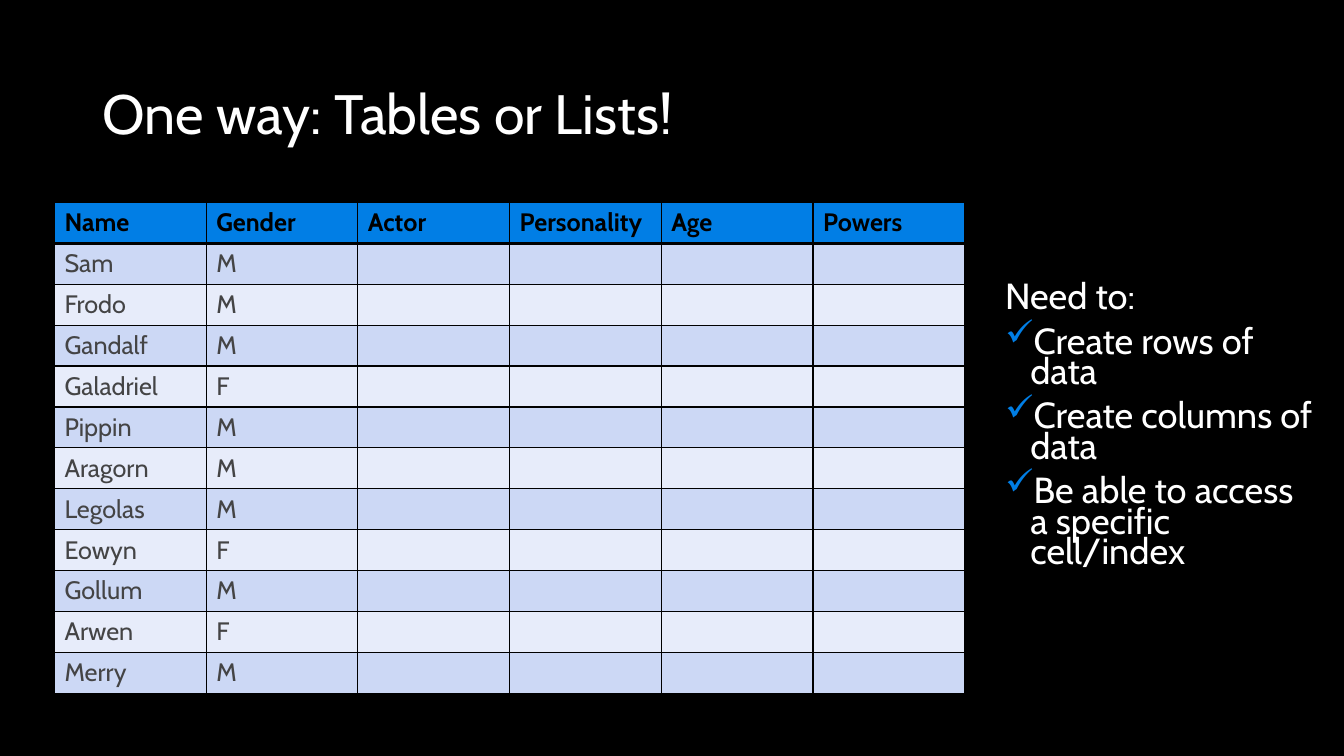
from pptx import Presentation
from pptx.dml.color import RGBColor
from pptx.enum.text import MSO_ANCHOR
from pptx.oxml.xmlchemy import OxmlElement
from pptx.util import Inches, Pt

COLORS = {
    "background": "000000",
    "text": "FFFFFF",
    "header": "017EE5",
    "header_text": "000000",
    "body_text": "444445",
    "band_dark": "CCD8F5",
    "band_light": "E7ECFA",
    "border": "000000",
    "check": "007EE5",
}
HEADINGS = ["Name", "Gender", "Actor", "Personality", "Age", "Powers"]
CHARACTERS = [
    ("Sam", "M"), ("Frodo", "M"), ("Gandalf", "M"), ("Galadriel", "F"),
    ("Pippin", "M"), ("Aragorn", "M"), ("Legolas", "M"), ("Eowyn", "F"),
    ("Gollum", "M"), ("Arwen", "F"), ("Merry", "M"),
]
NEEDS = [
    "Create rows of data",
    "Create columns of data",
    "Be able to access a specific cell/index",
]


class SlideBuilder:
    font_name = "Cabin"

    def __init__(self, presentation):
        self.slide = presentation.slides.add_slide(presentation.slide_layouts[6])
        fill = self.slide.background.fill
        fill.solid()
        fill.fore_color.rgb = self.color("background")

    def color(self, name):
        return RGBColor.from_string(COLORS[name])

    def format_runs(self, paragraph, size, color, bold=False):
        for run in paragraph.runs:
            run.font.name = self.font_name
            run.font.size = Pt(size)
            run.font.bold = bold
            run.font.color.rgb = self.color(color)

    def add_text(self, left, top, width, height, lines, size, spacing,
                 anchor=MSO_ANCHOR.TOP):
        box = self.slide.shapes.add_textbox(
            Inches(left), Inches(top), Inches(width), Inches(height))
        text_frame = box.text_frame
        text_frame.word_wrap = True
        text_frame.vertical_anchor = anchor
        text_frame.text = "\n".join(lines)
        for index, paragraph in enumerate(text_frame.paragraphs):
            paragraph.line_spacing = spacing
            if index:
                paragraph.space_before = Pt(10)
            self.format_runs(paragraph, size, "text")
        return text_frame

    def add_check(self, paragraph):
        properties = paragraph._p.get_or_add_pPr()
        properties.set("marL", str(Inches(0.25)))
        properties.set("indent", str(-Inches(0.25)))
        bullet_color = OxmlElement("a:buClr")
        rgb = OxmlElement("a:srgbClr")
        rgb.set("val", COLORS["check"])
        bullet_color.append(rgb)
        bullet = OxmlElement("a:buChar")
        bullet.set("char", "✓")
        properties.append(bullet_color)
        properties.append(bullet)

    def add_borders(self, cell, widths):
        properties = cell._tc.get_or_add_tcPr()
        for side, width in widths.items():
            line = OxmlElement(f"a:ln{side}")
            line.set("w", str(Pt(width)))
            fill = OxmlElement("a:solidFill")
            rgb = OxmlElement("a:srgbClr")
            rgb.set("val", COLORS["border"])
            fill.append(rgb)
            line.append(fill)
            properties.append(line)

    def add_table(self, left, top, width, height, headings, records):
        rows, columns = len(records) + 1, len(headings)
        table = self.slide.shapes.add_table(
            rows, columns, Inches(left), Inches(top),
            Inches(width), Inches(height)).table
        for row_index, values in enumerate([headings, *records]):
            is_header = row_index == 0
            if is_header:
                fill, text_color = "header", "header_text"
            else:
                fill = "band_dark" if row_index % 2 else "band_light"
                text_color = "body_text"
            # The rule under the header is thicker than the grid
            widths = {"L": 1, "R": 1,
                      "T": 3 if row_index == 1 else 1,
                      "B": 3 if is_header else 1}
            for column_index in range(columns):
                cell = table.cell(row_index, column_index)
                self.add_borders(cell, widths)
                cell.fill.solid()
                cell.fill.fore_color.rgb = self.color(fill)
                if column_index < len(values):
                    cell.text_frame.text = values[column_index]
                    self.format_runs(cell.text_frame.paragraphs[0], 18,
                                     text_color, is_header)


def main():
    presentation = Presentation()
    presentation.slide_width = Inches(13.33)
    presentation.slide_height = Inches(7.5)
    builder = SlideBuilder(presentation)

    # Title
    builder.add_text(0.92, 0.8, 11.5, 0.72, ["One way: Tables or Lists!"],
                     39.6, 0.9, MSO_ANCHOR.MIDDLE)

    # Character table
    builder.add_table(0.54, 2.01, 9.03, 4.87, HEADINGS, CHARACTERS)

    # Checklist
    checklist = builder.add_text(9.87, 2.78, 3.25, 3.02,
                                 ["Need to:", *NEEDS], 25.9, 0.7)
    for paragraph in checklist.paragraphs[1:]:
        builder.add_check(paragraph)

    presentation.save("out.pptx")


if __name__ == "__main__":
    main()
